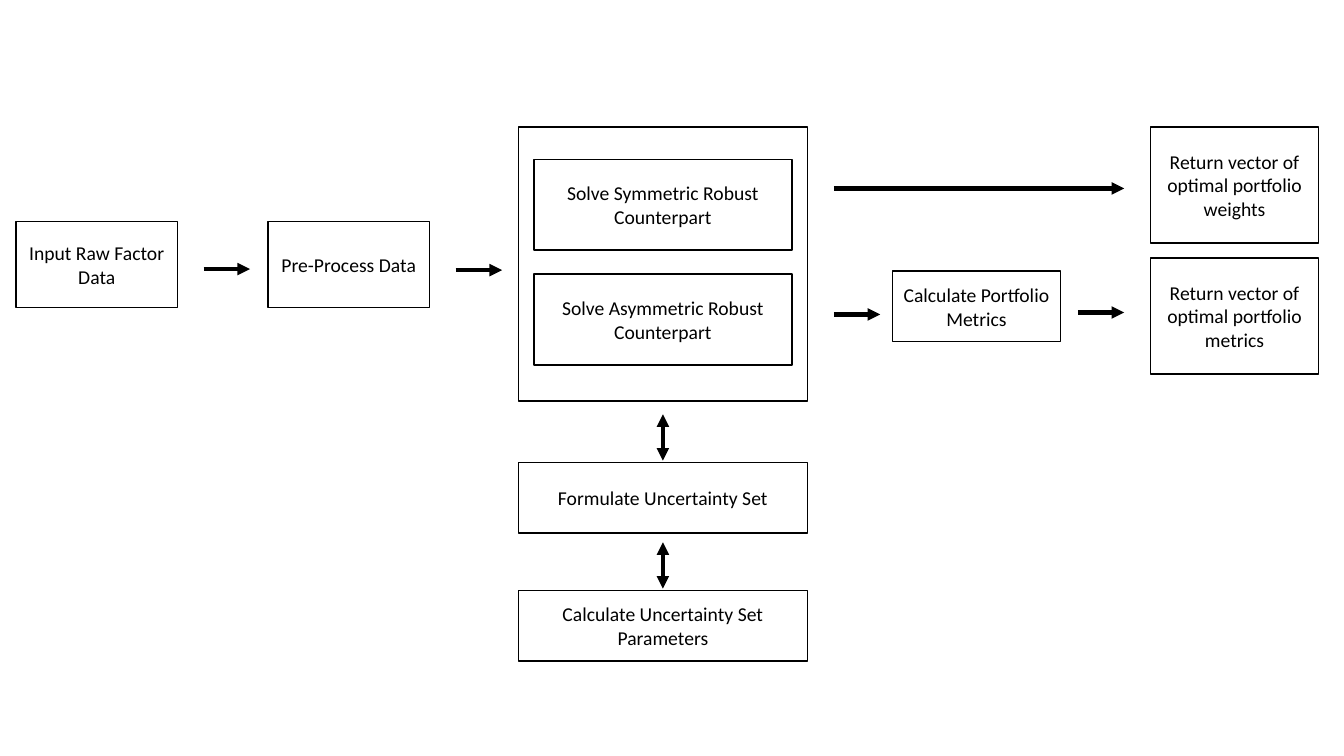
from dataclasses import dataclass

from lxml.etree import SubElement
from pptx import Presentation
from pptx.dml.color import RGBColor
from pptx.enum.shapes import MSO_CONNECTOR as Connector, MSO_SHAPE as Shape
from pptx.enum.text import MSO_ANCHOR as Anchor, PP_ALIGN as Align
from pptx.oxml.ns import qn
from pptx.util import Inches, Pt


@dataclass(frozen=True)
class Theme:
    ink: RGBColor = RGBColor(0, 0, 0)
    paper: RGBColor = RGBColor(255, 255, 255)
    font: str = "Calibri"
    text_size: float = 14
    outline: float = 1
    arrow: float = 3


THEME = Theme()

INPUT_STEPS = ["Input Raw Factor Data", "Pre-Process Data"]
SOLVERS = ["Solve Symmetric Robust Counterpart", "Solve Asymmetric Robust Counterpart"]
UNCERTAINTY_STEPS = ["Formulate Uncertainty Set", "Calculate Uncertainty Set Parameters"]
METRICS_STEP = "Calculate Portfolio Metrics"
RESULTS = [
    "Return vector of optimal portfolio weights",
    "Return vector of optimal portfolio metrics",
]

INPUT_LEFT, INPUT_TOP, INPUT_PITCH = 0.16, 2.2, 2.5
INPUT_SIZE = (1.6, 0.85)
CORE_LEFT, CORE_TOP, CORE_WIDTH, CORE_HEIGHT = 5.14, 1.26, 2.87, 2.72
SOLVER_TOP, SOLVER_PITCH, SOLVER_SIZE = 1.58, 1.14, (2.56, 0.9)
UNCERTAINTY_TOP, UNCERTAINTY_PITCH = 4.59, 1.27
STEP_HEIGHT = 0.7
RESULT_LEFT, RESULT_PITCH, RESULT_SIZE = 11.41, 1.3, (1.67, 1.15)
METRICS_LEFT, METRICS_TOP = 8.85, 2.69
SIDE_GAP = 0.26
ARROW_LENGTH = 0.46

core_right = CORE_LEFT + CORE_WIDTH
core_middle = CORE_LEFT + CORE_WIDTH / 2
arrow_start = core_right + SIDE_GAP
arrow_end = RESULT_LEFT - SIDE_GAP

ONE_WAY_ARROWS = [
    (arrow_start, 1.87, arrow_end, 1.87),
    (arrow_start, 3.12, arrow_start + ARROW_LENGTH, 3.12),
    (arrow_end - ARROW_LENGTH, 3.1, arrow_end, 3.1),
]
TWO_WAY_ARROW_TOPS = [4.11, 5.38]


def add_box(shapes, left, top, width, height, text="", fill=None):
    box = shapes.add_shape(
        Shape.RECTANGLE, Inches(left), Inches(top), Inches(width), Inches(height)
    )
    box.shadow.inherit = False
    if fill is None:
        box.fill.background()
    else:
        box.fill.solid()
        box.fill.fore_color.rgb = fill
    box.line.color.rgb = THEME.ink
    box.line.width = Pt(THEME.outline)
    if text:
        write(box, text)
    return box


def write(box, text, size=THEME.text_size, color=THEME.ink, align=Align.CENTER):
    frame = box.text_frame
    frame.word_wrap = True
    frame.vertical_anchor = Anchor.MIDDLE
    para = frame.paragraphs[0]
    para.alignment = align
    span = para.add_run()
    span.text = text
    span.font.name = THEME.font
    span.font.size = Pt(size)
    span.font.color.rgb = color


def add_arrow(shapes, ends, two_way=False):
    arrow = shapes.add_connector(Connector.STRAIGHT, *map(Inches, ends))
    arrow.line.color.rgb = THEME.ink
    arrow.line.width = Pt(THEME.arrow)
    outline = arrow.line._get_or_add_ln()
    for tag in ["a:headEnd", "a:tailEnd"] if two_way else ["a:tailEnd"]:
        SubElement(outline, qn(tag), type="triangle")
    SubElement(arrow._element.spPr, qn("a:effectLst"))


deck = Presentation()
deck.slide_width, deck.slide_height = Inches(13.33), Inches(7.5)
page = deck.slides.add_slide(deck.slide_layouts[6])

for index, text in enumerate(INPUT_STEPS):
    left = INPUT_LEFT + index * INPUT_PITCH
    add_box(page.shapes, left, INPUT_TOP, *INPUT_SIZE, text, fill=THEME.paper)
    start = left + INPUT_SIZE[0] + SIDE_GAP
    height = INPUT_TOP + 0.47 + index * 0.01
    add_arrow(page.shapes, (start, height, start + ARROW_LENGTH, height))

core = page.shapes.add_group_shape()
solver_left = core_middle - SOLVER_SIZE[0] / 2
for index, text in enumerate(SOLVERS):
    top = SOLVER_TOP + index * SOLVER_PITCH
    add_box(core.shapes, solver_left, top, *SOLVER_SIZE, text, fill=THEME.paper)
add_box(core.shapes, CORE_LEFT, CORE_TOP, CORE_WIDTH, CORE_HEIGHT)

for index, text in enumerate(UNCERTAINTY_STEPS):
    top = UNCERTAINTY_TOP + index * UNCERTAINTY_PITCH
    add_box(page.shapes, CORE_LEFT, top, CORE_WIDTH, STEP_HEIGHT, text)

add_box(page.shapes, METRICS_LEFT, METRICS_TOP, RESULT_SIZE[0], STEP_HEIGHT, METRICS_STEP)
for index, text in enumerate(RESULTS):
    top = CORE_TOP + index * RESULT_PITCH
    add_box(page.shapes, RESULT_LEFT, top, *RESULT_SIZE, text)

for ends in ONE_WAY_ARROWS:
    add_arrow(page.shapes, ends)
for top in TWO_WAY_ARROW_TOPS:
    ends = (core_middle, top, core_middle, top + ARROW_LENGTH)
    add_arrow(page.shapes, ends, two_way=True)

deck.save("out.pptx")
